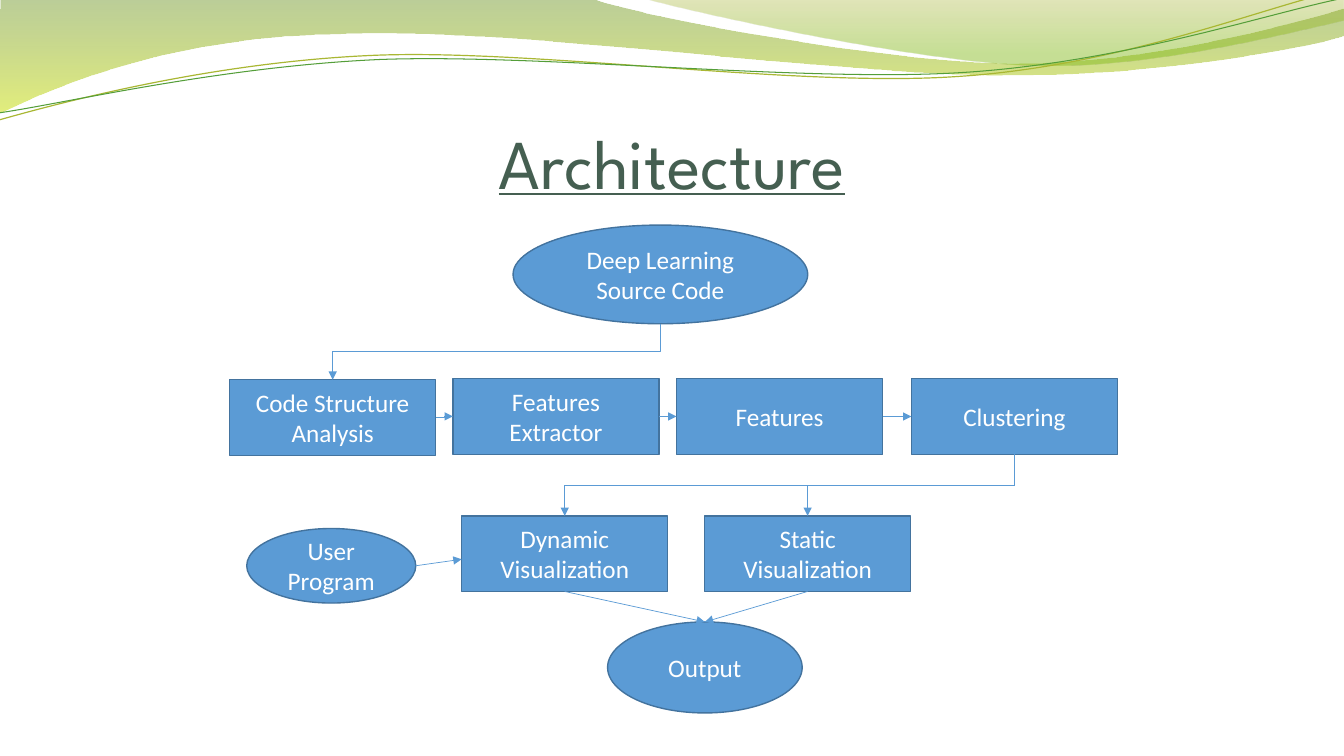
from lxml import etree
from pptx import Presentation
from pptx import util as u
from pptx.dml.color import RGBColor
from pptx.enum import shapes, text
from pptx.oxml.ns import qn

COLORS = {
    "title": "455F51", "node": "5B9BD5", "node_line": "43739E", "label": "FFFFFF",
    "olive": "69921C", "lime": "CCE10F", "moss": "9BAA1A", "leaf": "81BA16",
    "gold_line": "A9B733", "green_line": "549E39",
}
TOP, LEFT, BOTTOM, RIGHT = range(4)

# Outlines in points: pairs are straight segments, sixes are Bezier curves
BROAD_WAVE = [
    (0, 0), (422.6, -0.7),
    (456.5, 12.2, 636.5, 45.4, 727.9, 45.4), (818.6, 45.4, 919.4, 18.7, 959.8, 6.5),
    (960.5, 25.9),
    (943.9, 31.7, 834.5, 54.7, 715.7, 54), (596.9, 54, 366.5, 20.2, 247, 24.5),
    (123.8, 25.9, 43.9, 59.8, -1.4, 81.4),
]
RIGHT_WAVE = [
    (459.4, -0.7), (488.9, 7.9, 654.5, 44.6, 738, 46.8),
    (820.8, 49.7, 923, 23, 959.8, 15.1), (959.8, 0),
]
GOLD_CURVE = [
    (-0.7, 85.7), (45.4, 72.7, 151.2, 44.6, 265.7, 39.6),
    (379.4, 34.6, 568.1, 62.6, 683.3, 54.7), (799.2, 47.5, 900.7, 5.8, 957.6, -7.2),
]
GREEN_CURVE = [
    (-0.7, 80.6), (44.6, 74.2, 157, 47.5, 271.4, 42.5),
    (386.6, 38.2, 573.1, 59, 687.6, 51.8), (802.1, 44.6, 903.6, 10.1, 959.8, -1.4),
]

# Nodes: shape kind, label, left, top, width, height within the diagram
BOX, OVAL = shapes.MSO_SHAPE.RECTANGLE, shapes.MSO_SHAPE.OVAL
BOX_SIZE = (147.25, 54)
NODES = {
    "source": (OVAL, "Deep Learning Source Code", 202.5, 0, 210.5, 70.5),
    "output": (OVAL, "Output", 270, 283.5, 139, 65),
    "analysis": (BOX, "Code Structure Analysis", 0, 110.5, *BOX_SIZE),
    "extractor": (BOX, "Features Extractor", 159.5, 109.75, *BOX_SIZE),
    "features": (BOX, "Features", 319.25, 109.75, *BOX_SIZE),
    "clustering": (BOX, "Clustering", 487, 109.75, *BOX_SIZE),
    "dynamic": (BOX, "Dynamic Visualization", 165.75, 207.75, *BOX_SIZE),
    "static": (BOX, "Static Visualization", 339.25, 207.75, *BOX_SIZE),
    "user": (OVAL, "User Program", 12.25, 216.75, 120.75, 53.25),
}
# Arrows: kind, start, side, end, side, drop below the middle of the end side
STRAIGHT, ELBOW = shapes.MSO_CONNECTOR.STRAIGHT, shapes.MSO_CONNECTOR.ELBOW
ARROWS = [
    (ELBOW, "source", BOTTOM, "analysis", TOP, 0),
    (ELBOW, "analysis", RIGHT, "extractor", LEFT, 0),
    (STRAIGHT, "extractor", RIGHT, "features", LEFT, 0),
    (STRAIGHT, "features", RIGHT, "clustering", LEFT, 0),
    (ELBOW, "clustering", BOTTOM, "dynamic", TOP, 0),
    (ELBOW, "clustering", BOTTOM, "static", TOP, 0),
    (STRAIGHT, "user", RIGHT, "dynamic", LEFT, 4),
    (STRAIGHT, "dynamic", BOTTOM, "output", TOP, 0),
    (STRAIGHT, "static", BOTTOM, "output", TOP, 0),
]


def color(name):
    return RGBColor.from_string(COLORS[name])


def set_line(shape, name, width):
    shape.line.color.rgb = color(name)
    shape.line.width = u.Pt(width)


def add_outline(slide, left, top, outline, close):
    anchors = [(u.Pt(left + x), u.Pt(top + y)) for *_, x, y in outline]
    builder = slide.shapes.build_freeform(*anchors[0])
    builder.add_line_segments(anchors[1:], close=close)
    shape = builder.convert_to_shape()
    shape.shadow.inherit = False
    # Bend the segments that have control points
    straight_segments = list(shape._element.iter(qn("a:lnTo")))
    for straight, segment in zip(straight_segments, outline[1:]):
        if len(segment) == 6:
            bezier = etree.Element(qn("a:cubicBezTo"))
            for x, y in zip(segment[::2], segment[1::2]):
                point = etree.SubElement(bezier, qn("a:pt"))
                point.set("x", str(u.Pt(left + x) - shape.left))
                point.set("y", str(u.Pt(top + y) - shape.top))
            straight.getparent().replace(straight, bezier)
    return shape


def add_waves(slide, left, top):
    # Translucent gradient bands
    bands = [
        (BROAD_WAVE, [("olive", 0, 45), ("lime", 1, 55)]),
        (RIGHT_WAVE, [("moss", 0, 30), ("leaf", 0.8, 45)]),
    ]
    for outline, stops in bands:
        band = add_outline(slide, left, top, outline, True)
        band.line.fill.background()
        band.fill.gradient()
        band.fill.gradient_angle = 270
        for stop, (name, position, _) in zip(band.fill.gradient_stops, stops):
            stop.color.rgb = color(name)
            stop.position = position
        for rgb, (_, _, opacity) in zip(band._element.spPr.iter(qn("a:srgbClr")), stops):
            etree.SubElement(rgb, qn("a:alpha")).set("val", str(opacity * 1000))
    # Thin curves
    for outline, name, width in [(GOLD_CURVE, "gold_line", 0.85),
                                 (GREEN_CURVE, "green_line", 0.75)]:
        curve = add_outline(slide, left, top, outline, False)
        curve.fill.background()
        set_line(curve, name, width)


def add_title(slide, left, top, width, height):
    title = slide.shapes.title
    title.left, title.top, title.width, title.height = map(u.Pt, (left, top, width, height))
    frame = title.text_frame
    frame.text = "Architecture"
    frame.margin_left = frame.margin_right = frame.margin_bottom = 0
    frame.margin_top = u.Pt(3.6)
    frame.vertical_anchor = text.MSO_ANCHOR.BOTTOM
    frame.auto_size = text.MSO_AUTO_SIZE.NONE
    paragraph = frame.paragraphs[0]
    paragraph.alignment = text.PP_ALIGN.CENTER
    font = paragraph.font
    font.name, font.size, font.underline = "League Spartan", u.Pt(50), True
    font.color.rgb = color("title")


def add_node(slide, kind, label, left, top, width, height):
    node = slide.shapes.add_shape(kind, *map(u.Pt, (left, top, width, height)))
    node.shadow.inherit = False
    node.fill.solid()
    node.fill.fore_color.rgb = color("node")
    set_line(node, "node_line", 1)
    frame = node.text_frame
    frame.text = label
    frame.word_wrap = True
    frame.vertical_anchor = text.MSO_ANCHOR.MIDDLE
    paragraph = frame.paragraphs[0]
    paragraph.alignment = text.PP_ALIGN.CENTER
    paragraph.font.name, paragraph.font.size = "Calibri", u.Pt(18)
    paragraph.font.color.rgb = color("label")
    return node


def add_arrow(slide, kind, start, start_side, end, end_side, drop):
    arrow = slide.shapes.add_connector(kind, 0, 0, 0, 0)
    arrow.begin_connect(start, start_side)
    arrow.end_connect(end, end_side)
    # An oval has eight connection sites, so its side numbers double
    for tag, node, side in (("a:stCxn", start, start_side), ("a:endCxn", end, end_side)):
        if node.auto_shape_type == OVAL:
            next(arrow._element.iter(qn(tag))).set("idx", str(2 * side))
    # An end away from the middle of its side is not glued
    if drop:
        arrow.end_y += u.Pt(drop)
        glue = next(arrow._element.iter(qn("a:endCxn")))
        glue.getparent().remove(glue)
    # An elbow leaving downwards is a quarter turn of the sideways one
    if kind == ELBOW and start_side == BOTTOM:
        width, height = arrow.height, arrow.width
        arrow.left += (height - width) // 2
        arrow.top += (width - height) // 2
        arrow.width, arrow.height = width, height
        transform = arrow._element.spPr.find(qn("a:xfrm"))
        transform.attrib.pop("flipH", None)
        transform.set("rot", "5400000")
    set_line(arrow, "node", 0.5)
    line = arrow.line._get_or_add_ln()
    etree.SubElement(line, qn("a:tailEnd")).set("type", "triangle")
    etree.SubElement(arrow._element.spPr, qn("a:effectLst"))


def add_diagram(slide, left, top):
    nodes = {
        name: add_node(slide, kind, label, left + x, top + y, width, height)
        for name, (kind, label, x, y, width, height) in NODES.items()
    }
    for kind, start, start_side, end, end_side, drop in ARROWS:
        add_arrow(slide, kind, nodes[start], start_side, nodes[end], end_side, drop)


presentation = Presentation()
presentation.slide_width, presentation.slide_height = u.Pt(960), u.Pt(540)
slide = presentation.slides.add_slide(presentation.slide_layouts.get_by_name("Title Only"))
add_waves(slide, 0, 0)
add_title(slide, 48, 55.5, 864, 90)
add_diagram(slide, 164, 160.75)
presentation.save("out.pptx")
